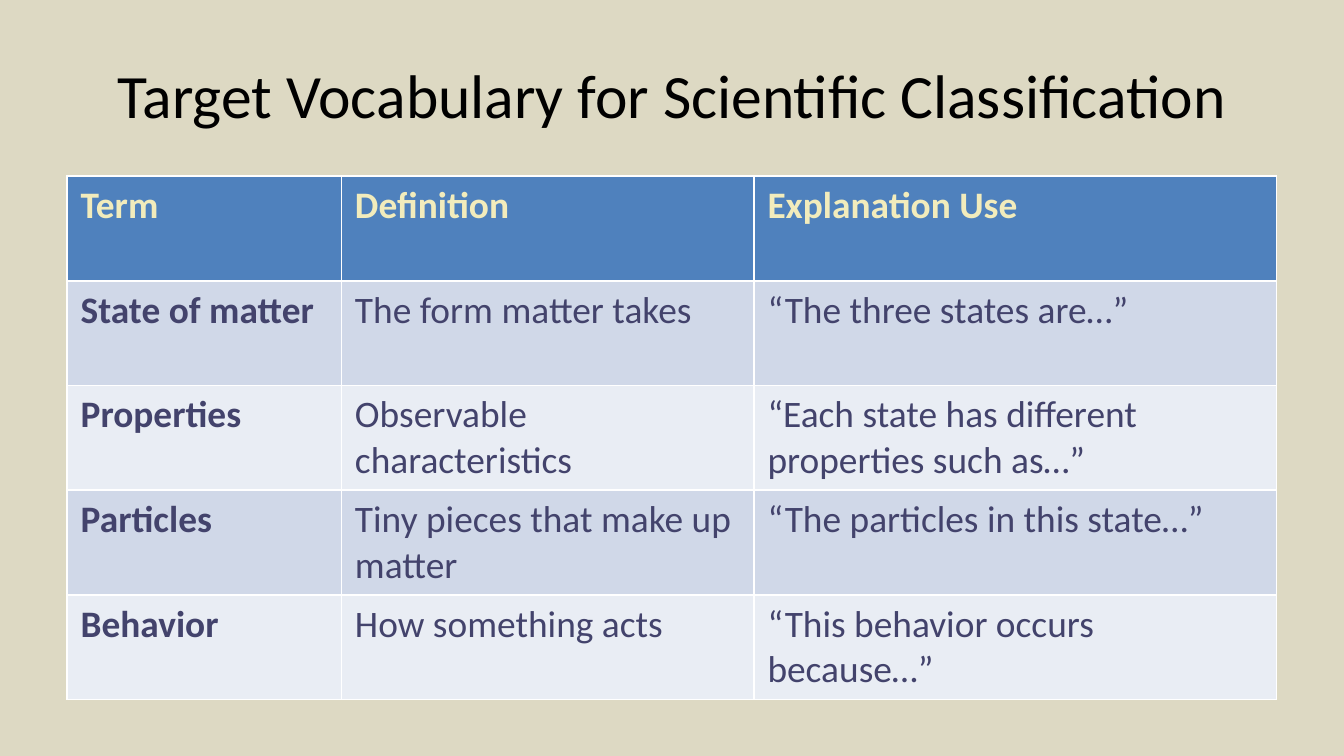
"""Build the vocabulary table slide for scientific classification."""
from dataclasses import dataclass

from lxml.etree import SubElement
from pptx import Presentation
from pptx.dml.color import RGBColor
from pptx.enum.text import MSO_ANCHOR, PP_ALIGN
from pptx.oxml.ns import qn
from pptx.util import Pt


@dataclass(frozen=True)
class Theme:
    """Colours, font and type sizes of the slide."""
    background: str = "DDD9C3"
    title: str = "000000"
    header_text: str = "F2ECBC"
    body_text: str = "43436C"
    header_fill: str = "4F81BD"
    bands: tuple = ("D0D8E8", "E9EDF4")
    border: str = "FFFFFF"
    border_width: float = 1
    font: str = "Calibri"
    title_size: float = 33
    table_size: float = 20


THEME = Theme()
COLUMN_WIDTHS = (147, 221, 280)
ROW_HEIGHT = 56.1
ROWS = (
    ("Term", "Definition", "Explanation Use"),
    ("State of matter", "The form matter takes", "“The three states are…”"),
    ("Properties", "Observable characteristics",
     "“Each state has different properties such as…”"),
    ("Particles", "Tiny pieces that make up matter",
     "“The particles in this state…”"),
    ("Behavior", "How something acts", "“This behavior occurs because…”"),
)


def add_text(p, text, size, color, bold=False):
    """Add a formatted run to a paragraph."""
    r = p.add_run()
    r.text = text
    formats = {"name": THEME.font, "size": Pt(size), "bold": bold}
    for name, value in formats.items():
        setattr(r.font, name, value)
    r.font.color.rgb = RGBColor.from_string(color)


def add_title(s, text):
    """Add the centred slide title."""
    tf = s.shapes.add_textbox(Pt(36), Pt(16.5), Pt(648), Pt(67.5)).text_frame
    formats = {"word_wrap": True, "vertical_anchor": MSO_ANCHOR.MIDDLE}
    for name, value in formats.items():
        setattr(tf, name, value)
    p = tf.paragraphs[0]
    p.alignment = PP_ALIGN.CENTER
    add_text(p, text, THEME.title_size, THEME.title)


def add_borders(cell):
    """Draw a solid line on all four sides of a cell."""
    tc_pr = cell._tc.get_or_add_tcPr()
    for i, side in enumerate(("a:lnL", "a:lnR", "a:lnT", "a:lnB")):
        ln = tc_pr.makeelement(qn(side), {"w": str(Pt(THEME.border_width))})
        fill = SubElement(ln, qn("a:solidFill"))
        SubElement(fill, qn("a:srgbClr"), val=THEME.border)
        tc_pr.insert(i, ln)


def fill_cell(cell, text, fill, color, bold):
    """Give a cell its text, fill and borders."""
    cell.fill.solid()
    cell.fill.fore_color.rgb = RGBColor.from_string(fill)
    add_borders(cell)
    add_text(cell.text_frame.paragraphs[0], text, THEME.table_size, color, bold)


def add_vocabulary(s, rows):
    """Add the banded table with a header row and bold terms."""
    table = s.shapes.add_table(
        len(rows), len(COLUMN_WIDTHS), Pt(36), Pt(94.3),
        Pt(sum(COLUMN_WIDTHS)), Pt(ROW_HEIGHT * len(rows))).table
    for column, width in zip(table.columns, COLUMN_WIDTHS):
        column.width = Pt(width)
    for i, row in enumerate(rows):
        table.rows[i].height = Pt(ROW_HEIGHT)
        header = i == 0
        fill = THEME.header_fill if header else THEME.bands[(i - 1) % 2]
        color = THEME.header_text if header else THEME.body_text
        for j, text in enumerate(row):
            fill_cell(table.cell(i, j), text, fill, color, header or j == 0)


def main():
    """Build and save the slide."""
    prs = Presentation()
    prs.slide_width, prs.slide_height = Pt(720), Pt(405)
    s = prs.slides.add_slide(prs.slide_layouts[6])
    s.background.fill.solid()
    s.background.fill.fore_color.rgb = RGBColor.from_string(THEME.background)
    add_title(s, "Target Vocabulary for Scientific Classification")
    add_vocabulary(s, ROWS)
    prs.save("out.pptx")


if __name__ == "__main__":
    main()
